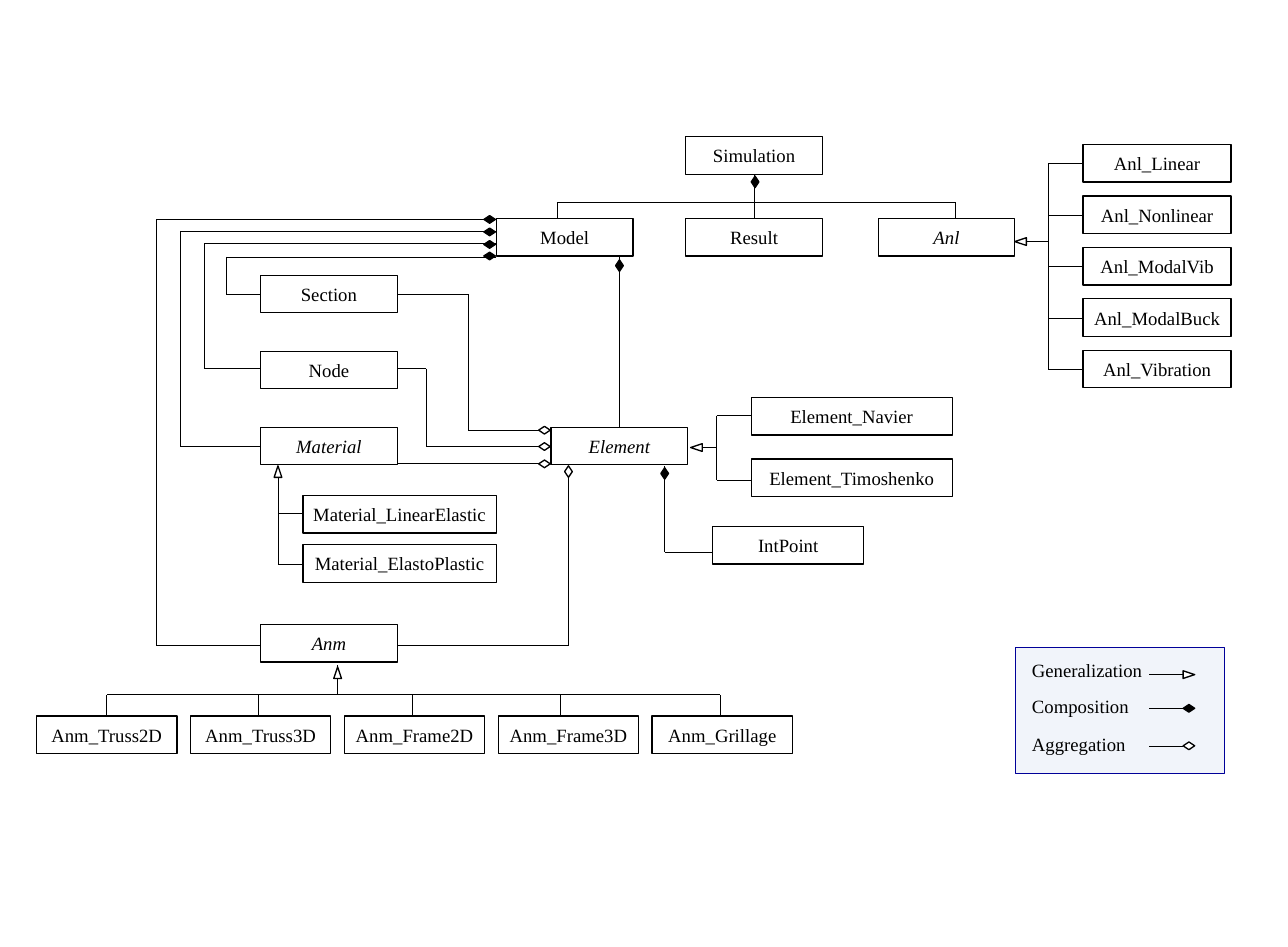
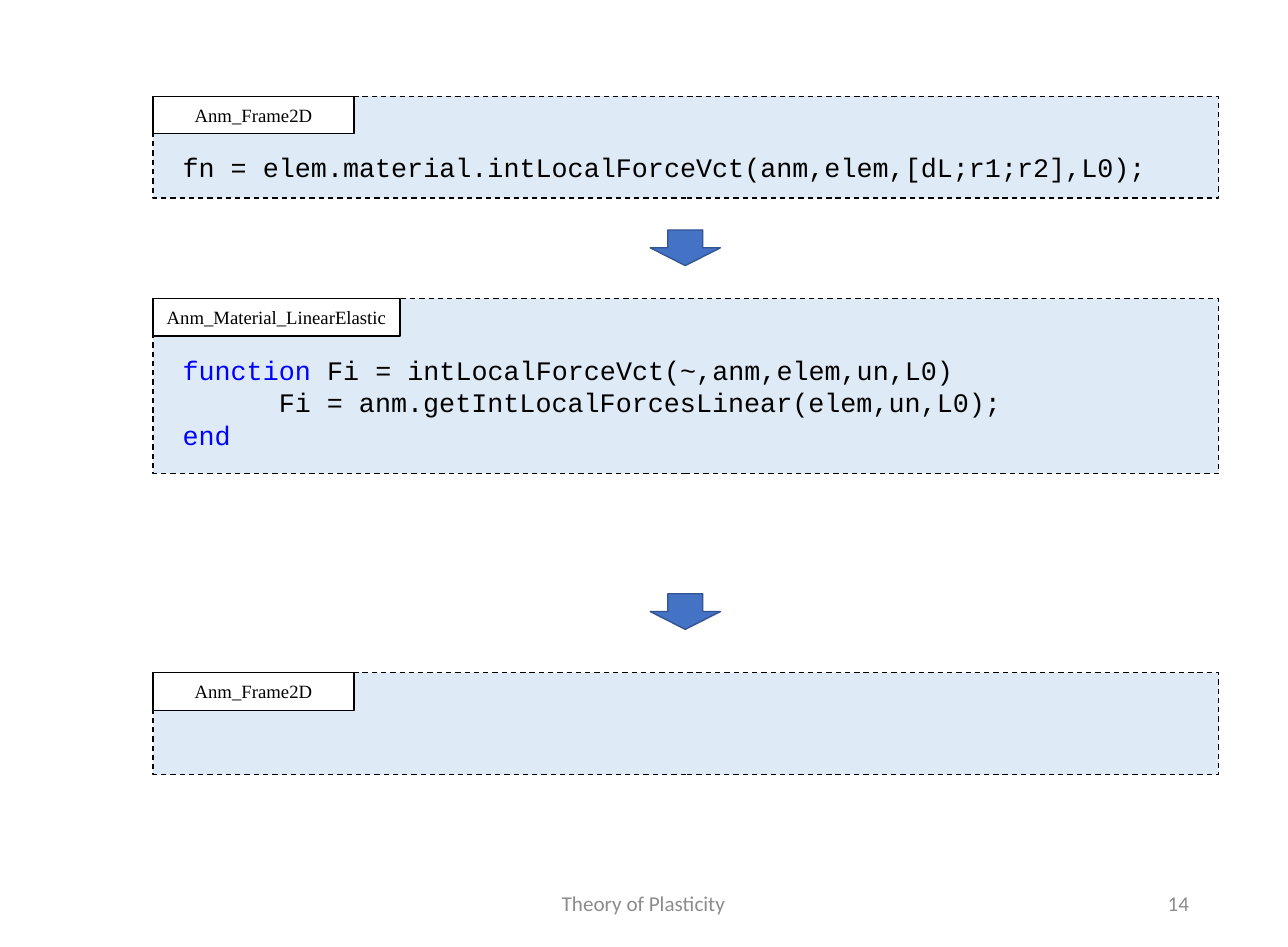
from lxml.etree import SubElement
from pptx import Presentation
from pptx.dml.color import RGBColor
from pptx.enum.dml import MSO_LINE
from pptx.enum.shapes import MSO_CONNECTOR, MSO_SHAPE
from pptx.enum.text import MSO_ANCHOR, PP_ALIGN
from pptx.oxml.ns import qn
from pptx.util import Inches, Pt

BLACK = RGBColor(0x00, 0x00, 0x00)
WHITE = RGBColor(0xFF, 0xFF, 0xFF)
NAVY = RGBColor(0x00, 0x00, 0x99)
LEGEND_BLUE = RGBColor(0xDA, 0xE3, 0xF3)
PANEL_BLUE = RGBColor(0xDE, 0xEB, 0xF7)
ARROW_BLUE = RGBColor(0x44, 0x72, 0xC4)
ARROW_EDGE = RGBColor(0x32, 0x54, 0x91)
KEYWORD = RGBColor(0x00, 0x00, 0xFF)
GREY = RGBColor(0x8C, 0x8C, 0x8C)
SERIF, MONO, SANS = "Times New Roman", "Courier New", "Calibri"
BOX_W, BOX_H = 1.42, 0.39
DIAMOND, TRIANGLE = MSO_SHAPE.DIAMOND, MSO_SHAPE.ISOSCELES_TRIANGLE


class Deck:
    """Draws class diagrams and code panels on the current slide."""

    def __init__(self):
        self.prs = Presentation()
        self.prs.slide_width, self.prs.slide_height = Inches(13.39), Inches(9.84)

    def new_slide(self):
        self.s = self.prs.slides.add_slide(self.prs.slide_layouts[6])

    def run(self, p, text, font=SERIF, size=14, color=BLACK, italic=False):
        r = p.add_run()
        r.text = text
        r.font.name, r.font.size, r.font.italic = font, Pt(size), italic
        r.font.color.rgb = color

    def shape(self, kind, x, y, w, h, fill=WHITE, edge=BLACK):
        sp = self.s.shapes.add_shape(kind, Inches(x), Inches(y), Inches(w), Inches(h))
        sp.shadow.inherit = False
        sp.fill.solid()
        sp.fill.fore_color.rgb = fill
        sp.line.color.rgb = edge
        sp.line.width = Pt(1)
        return sp

    def box(self, name, x, y, w=BOX_W, abstract=False):
        sp = self.shape(MSO_SHAPE.RECTANGLE, x, y, w, BOX_H)
        tf = sp.text_frame
        tf.word_wrap = False
        tf.vertical_anchor = MSO_ANCHOR.MIDDLE
        p = tf.paragraphs[0]
        p.alignment = PP_ALIGN.CENTER
        self.run(p, name, italic=abstract)

    def route(self, *points):
        for (x1, y1), (x2, y2) in zip(points, points[1:]):
            c = self.s.shapes.add_connector(
                MSO_CONNECTOR.STRAIGHT, Inches(x1), Inches(y1), Inches(x2), Inches(y2))
            c.line.color.rgb = BLACK
            c.line.width = Pt(0.5)
            SubElement(c._element.spPr, qn("a:effectLst"))

    def side_tree(self, spine, right, ys):
        self.route((spine, ys[0]), (spine, ys[-1]))
        for y in ys:
            self.route((spine, y), (right, y))

    def top_tree(self, bar, bottom, xs):
        self.route((xs[0], bar), (xs[-1], bar))
        for x in xs:
            self.route((x, bottom), (x, bar))

    def marker(self, kind, x, y, rotation=0, fill=WHITE):
        sp = self.shape(kind, x - 0.04, y - 0.06, 0.08, 0.12, fill)
        sp.rotation = rotation

    def text(self, x, y, w, h, align=PP_ALIGN.LEFT, anchor=MSO_ANCHOR.TOP):
        tf = self.s.shapes.add_textbox(Inches(x), Inches(y), Inches(w), Inches(h)).text_frame
        tf.word_wrap = True
        tf.vertical_anchor = anchor
        tf.paragraphs[0].alignment = align
        return tf

    def legend(self, x, y, w, h, entries):
        sp = self.shape(MSO_SHAPE.RECTANGLE, x, y, w, h, LEGEND_BLUE, NAVY)
        color = sp._element.spPr.find(qn("a:solidFill")).find(qn("a:srgbClr"))
        SubElement(color, qn("a:alpha"), val="36000")
        for label, top, mid, kind, fill in entries:
            self.run(self.text(x + 0.07, top, 1.63, 0.34).paragraphs[0], label)
            self.route((x + 1.39, mid), (x + 1.74, mid))
            self.marker(kind, x + 1.8, mid, 90, fill)

    def panel(self, name, y, h, tab_w):
        sp = self.shape(MSO_SHAPE.RECTANGLE, 1.59, y, 11.08, h, PANEL_BLUE)
        sp.line.dash_style = MSO_LINE.DASH
        self.box(name, 1.59, y, tab_w)

    def code(self, y, w, h, lines):
        tf = self.text(1.8, y, w, h)
        for i, (indent, parts) in enumerate(lines):
            p = tf.add_paragraph() if i else tf.paragraphs[0]
            pPr = p._p.get_or_add_pPr()
            pPr.set("marL", str(Inches(indent)))
            pPr.set("indent", "0")
            for part, color in parts:
                self.run(p, part, MONO, 20, color)

    def down_arrow(self, y):
        self.shape(MSO_SHAPE.DOWN_ARROW, 6.76, y, 0.73, 0.37, ARROW_BLUE, ARROW_EDGE)

    def footer(self, x, w, label, align):
        tf = self.text(x, 9.12, w, 0.52, align, MSO_ANCHOR.MIDDLE)
        self.run(tf.paragraphs[0], label, SANS, 15.8, GREY)


def class_diagram(d):
    """Draws the class hierarchy with its relations and legend."""
    d.new_slide()
    anl_names = ["Linear", "Nonlinear", "ModalVib", "ModalBuck", "Vibration"]
    anl_pitch = (3.64 - 1.5) / (len(anl_names) - 1)

    d.top_tree(2.1, 2.27, [5.79, 7.84, 9.93])
    d.route((7.84, 2.1), (7.84, 1.81))
    d.side_tree(10.9, 11.26, [1.7 + i * anl_pitch for i in range(len(anl_names))])
    d.route((10.67, 2.51), (10.9, 2.51))
    d.side_tree(7.45, 7.81, [4.32, 4.99])
    d.route((7.22, 4.65), (7.45, 4.65))
    d.side_tree(2.89, 3.15, [4.84 + 0.49, 5.86])
    d.route((2.89, 5.33), (2.89, 4.84))
    d.top_tree(7.22, 7.44, [1.11, 2.69, 4.29, 5.83, 7.49])
    d.route((3.51, 7.22), (3.51, 6.91))

    for spine, model_y, part_y in [
            (1.63, 2.28, 6.71), (1.88, 2.4, 4.64), (2.12, 2.53, 3.83), (2.35, 2.67, 3.06)]:
        d.route((5.16, model_y), (spine, model_y), (spine, part_y), (2.71, part_y))
    d.route((6.44, 4.44), (6.44, 2.67))
    d.route((6.91, 4.84), (6.91, 5.74), (7.41, 5.74))
    d.route((4.12, 3.06), (4.87, 3.06), (4.87, 4.47), (5.6, 4.47))
    d.route((4.13, 3.83), (4.43, 3.83), (4.43, 4.64), (5.6, 4.64))
    d.route((4.13, 4.81), (5.6, 4.81))
    d.route((4.13, 6.71), (5.91, 6.71), (5.91, 4.84))

    for name, x, y in [("Simulation", 7.13, 1.42), ("Model", 5.16, 2.27),
                       ("Result", 7.13, 2.27), ("Section", 2.71, 2.86), ("Node", 2.71, 3.65)]:
        d.box(name, x, y)
    for name, x, y in [("Anl", 9.13, 2.27), ("Material", 2.71, 4.44),
                       ("Element", 5.73, 4.44), ("Anm", 2.71, 6.49)]:
        d.box(name, x, y, abstract=True)
    for name, x, y, w in [
            ("Element_Navier", 7.81, 4.13, 2.09), ("Element_Timoshenko", 7.81, 4.77, 2.09),
            ("Material_LinearElastic", 3.15, 5.15, 2.01),
            ("Material_ElastoPlastic", 3.15, 5.66, 2.01), ("IntPoint", 7.41, 5.47, 1.57)]:
        d.box(name, x, y, w)
    for i, name in enumerate(anl_names):
        d.box(f"Anl_{name}", 11.26, 1.5 + i * anl_pitch, 1.54)
    for i, name in enumerate(["Truss2D", "Truss3D", "Frame2D", "Frame3D", "Grillage"]):
        d.box(f"Anm_{name}", 0.38 + i * 1.6, 7.44, 1.46)

    for x, y, rotation in [(10.61, 2.51, 270), (7.24, 4.65, 270), (2.89, 4.9, 0), (3.51, 6.99, 0)]:
        d.marker(TRIANGLE, x, y, rotation)
    for y in [2.28, 2.41, 2.54, 2.66]:
        d.marker(DIAMOND, 5.09, y, 90, BLACK)
    for x, y in [(7.85, 1.89), (6.44, 2.76), (6.91, 4.92)]:
        d.marker(DIAMOND, x, y, fill=BLACK)
    for y in [4.47, 4.64, 4.82]:
        d.marker(DIAMOND, 5.66, y, 90)
    d.marker(DIAMOND, 5.91, 4.9)

    d.legend(10.56, 6.73, 2.17, 1.31, [
        ("Generalization", 6.8, 7.01, TRIANGLE, WHITE),
        ("Composition", 7.17, 7.36, DIAMOND, BLACK),
        ("Aggregation", 7.57, 7.75, DIAMOND, WHITE)])


def call_sequence(d):
    """Draws the code panels linked by arrows."""
    d.new_slide()
    d.footer(4.43, 4.52, "Theory of Plasticity", PP_ALIGN.CENTER)
    d.footer(9.45, 3.01, "14", PP_ALIGN.RIGHT)
    d.panel("Anm_Frame2D", 1, 1.06, 2.09)
    d.code(1.52, 10.67, 0.44, [
        (0, [("fn = elem.material.intLocalForceVct(anm,elem,[dL;r1;r2],L0);", BLACK)])])
    d.down_arrow(2.39)
    d.panel("Anm_Material_LinearElastic", 3.1, 1.82, 2.57)
    d.code(3.63, 9.8, 1.11, [
        (0, [("function", KEYWORD), (" Fi = intLocalForceVct(~,anm,elem,un,L0)", BLACK)]),
        (1, [("Fi = anm.getIntLocalForcesLinear(elem,un,L0);", BLACK)]),
        (0, [("end", KEYWORD)])])
    d.down_arrow(6.17)
    d.panel("Anm_Frame2D", 6.99, 1.06, 2.09)


deck = Deck()
class_diagram(deck)
call_sequence(deck)
deck.prs.save("out.pptx")
